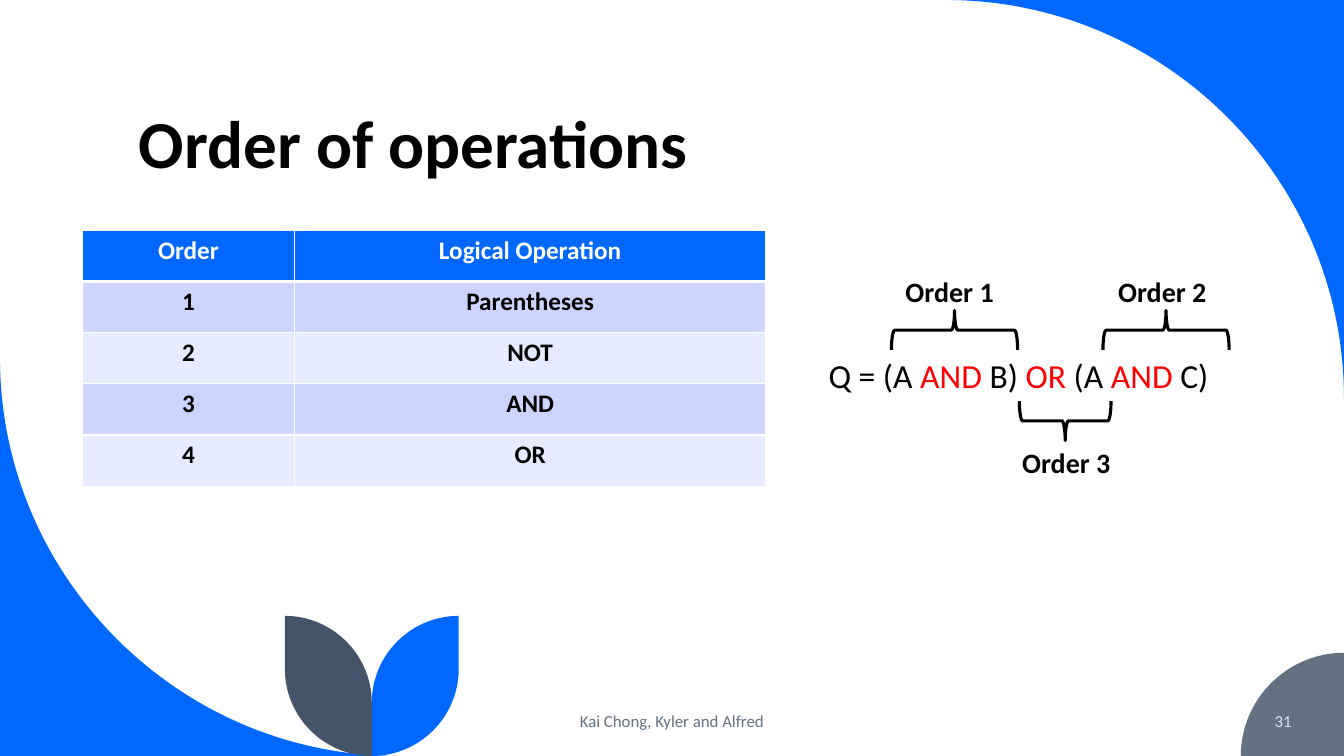
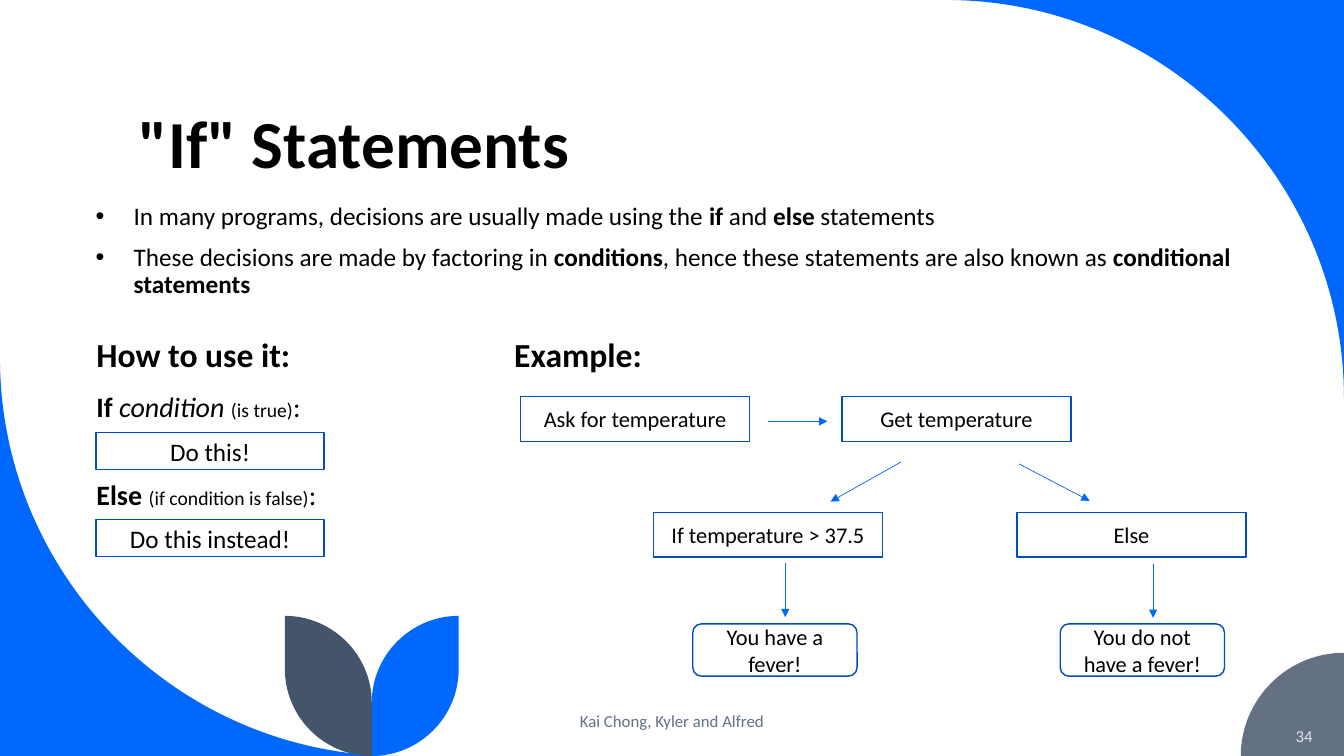
from dataclasses import dataclass

from lxml import etree
from pptx import Presentation
from pptx.dml.color import RGBColor
from pptx.enum.shapes import MSO_CONNECTOR, MSO_SHAPE
from pptx.enum.text import MSO_ANCHOR, PP_ALIGN
from pptx.oxml.ns import qn
from pptx.util import Cm, Pt

LEFT, MID, RIGHT = PP_ALIGN.LEFT, PP_ALIGN.CENTER, PP_ALIGN.RIGHT
TOP, CENTRE, BASE = MSO_ANCHOR.TOP, MSO_ANCHOR.MIDDLE, MSO_ANCHOR.BOTTOM
BRACE, RECT = MSO_SHAPE.LEFT_BRACE, MSO_SHAPE.RECTANGLE
ROUND, LINE = MSO_SHAPE.ROUNDED_RECTANGLE, MSO_CONNECTOR.STRAIGHT


@dataclass(frozen=True)
class Theme:
    font: str = "Calibri"
    blue: str = "0068FF"
    edge: str = "004DBD"
    slate: str = "44546A"
    grey: str = "637183"
    pale: str = "DAE5EF"
    band: str = "CCD4FF"
    tint: str = "E7EBFF"
    red: str = "FF0000"
    black: str = "000000"
    white: str = "FFFFFF"
    title: int = 48
    head: int = 24
    label: int = 20
    body: int = 18
    node: int = 16
    note: int = 14
    foot: int = 12


T = Theme()
rgb = RGBColor.from_string
WIDE, HIGH = 33.87, 19.05


def write(frame, rows, size, align=LEFT, anchor=TOP, color=T.black, bold=False,
          space=1.0, gap=0, bullet=False, wrap=True):
    """Fill a text frame; each row is a string or a list of (text, changes)."""
    frame.word_wrap = wrap
    frame.vertical_anchor = anchor
    for i, row in enumerate(rows):
        para = frame.paragraphs[0] if i == 0 else frame.add_paragraph()
        para.alignment = align
        para.line_spacing = space
        if i:
            para.space_before = Pt(gap)
        if bullet:
            props = para._p.get_or_add_pPr()
            props.set("marL", str(Cm(0.96)))
            props.set("indent", str(-Cm(0.96)))
            etree.SubElement(props, qn("a:buFont"), typeface="Arial")
            etree.SubElement(props, qn("a:buChar"), char="•")
        for text, more in [(row, {})] if isinstance(row, str) else row:
            run = para.add_run()
            run.text = text
            font = run.font
            font.name = T.font
            font.size = Pt(more.get("size", size))
            font.bold = more.get("bold", bold)
            font.italic = more.get("italic", False)
            font.color.rgb = rgb(more.get("color", color))


def outline(shapes, steps, color):
    """Draw a filled outline; a step (x, y, cx, cy) bends towards (cx, cy)."""
    dots = [tuple(map(Cm, step)) for step in steps]
    pen = shapes.build_freeform(*dots[0])
    pen.add_line_segments([dot[:2] for dot in dots[1:]])
    form = pen.convert_to_shape()
    form.shadow.inherit = False
    form.fill.solid()
    form.fill.fore_color.rgb = rgb(color)
    form.line.fill.background()
    parts = list(form._element.iter(qn("a:lnTo")))
    for part, start, stop in zip(parts, dots, dots[1:]):
        if len(stop) == 4:
            part.tag = qn("a:cubicBezTo")
            for i, (x, y) in enumerate((start[:2], stop[:2])):
                bend = etree.Element(qn("a:pt"))
                bend.set("x", str(round(x + 0.55 * (stop[2] - x)) - form.left))
                bend.set("y", str(round(y + 0.55 * (stop[3] - y)) - form.top))
                part.insert(i, bend)


deck = Presentation()
deck.slide_width, deck.slide_height = Cm(WIDE), Cm(HIGH)

# Shared corners and leaves
SWEEP, DISC, LEAF, STEM, PEAK = 10.03, 2.6, 2.19, 9.37, 15.52
SIDE = STEM + LEAF
leaf = [(SIDE, PEAK), (SIDE, HIGH - LEAF), (STEM, HIGH, SIDE, HIGH),
        (STEM, PEAK + LEAF), (SIDE, PEAK, STEM, PEAK)]
twin = [(2 * STEM - x, y, *(2 * STEM - a if i == 0 else a for i, a in enumerate(bend)))
        for x, y, *bend in leaf]
decor = [
    ([(WIDE, 0), (WIDE, SWEEP), (WIDE - SWEEP, 0, WIDE, 0)], T.blue),
    ([(0, HIGH), (0, HIGH - SWEEP), (SWEEP, HIGH, 0, HIGH)], T.blue),
    ([(WIDE, HIGH), (WIDE, HIGH - DISC),
      (WIDE - DISC, HIGH, WIDE - DISC, HIGH - DISC)], T.grey),
    (leaf, T.blue),
    (twin, T.slate),
]

# Frame of each slide: decoration, title, footer, number
pages = []
for title, num, x, y in [("Order of operations", "31", 28.2, 17.65),
                         ('"If" Statements', "34", 28.73, 18.03)]:
    shapes = deck.slides.add_slide(deck.slide_layouts[6]).shapes
    pages.append(shapes)
    for steps, color in decor:
        outline(shapes, steps, color)
    box = shapes.add_textbox(Cm(3.25), Cm(1.07), Cm(27.15), Cm(3.68))
    write(box.text_frame, [title], T.title, anchor=BASE, bold=True, space=0.9)
    box = shapes.add_textbox(Cm(11.22), Cm(17.65), Cm(11.43), Cm(1.02))
    write(box.text_frame, ["Kai Chong, Kyler and Alfred"], T.foot, MID, CENTRE, T.grey)
    box = shapes.add_textbox(Cm(x), Cm(y), Cm(4.6), Cm(1.02))
    write(box.text_frame, [num], T.foot, RIGHT, CENTRE, T.pale)
logic, choice = pages

# Table of operations
data = [("Order", "Logical Operation"), ("1", "Parentheses"), ("2", "NOT"),
        ("3", "AND"), ("4", "OR")]
ROW, COLS = 1.29, (5.34, 11.88)
grid = logic.add_table(len(data), len(COLS), Cm(2.08), Cm(5.8),
                       Cm(sum(COLS)), Cm(ROW * len(data))).table
for col, width in zip(grid.columns, COLS):
    col.width = Cm(width)
for i, row in enumerate(data):
    grid.rows[i].height = Cm(ROW)
    for j, text in enumerate(row):
        cell = grid.cell(i, j)
        props = cell._tc.get_or_add_tcPr()
        for side in ("lnL", "lnR", "lnT", "lnB"):
            thick = (side, i) in (("lnB", 0), ("lnT", 1))
            rule = etree.SubElement(props, qn("a:" + side), w=str(Pt(3 if thick else 1)))
            paint = etree.SubElement(rule, qn("a:solidFill"))
            etree.SubElement(paint, qn("a:srgbClr"), val=T.white)
        cell.fill.solid()
        cell.fill.fore_color.rgb = rgb(T.blue if i == 0 else T.band if i % 2 else T.tint)
        write(cell.text_frame, [text], T.body, MID,
              color=T.black if i else T.white, bold=True)

# Formula with its braces
red = {"color": T.red}
box = logic.add_textbox(Cm(20.63), Cm(8.81), Cm(10.9), Cm(1.27))
write(box.text_frame, [[("Q = (A ", {}), ("AND", red), (" B) ", {}), ("OR", red),
                        (" (A ", {}), ("AND", red), (" C)", {})]], T.head)
for text, x, y, span, turn, left, top in [
        ("Order 1", 23.56, 6.73, 3.18, 90, 22.57, 6.78),
        ("Order 2", 28.89, 6.73, 3.18, 90, 27.93, 6.78),
        ("Order 3", 26.35, 9.45, 2.31, 270, 25.51, 11.1)]:
    brace = logic.add_shape(BRACE, Cm(x), Cm(y), Cm(0.99), Cm(span))
    brace.rotation = turn
    brace.shadow.inherit = False
    brace.fill.background()
    brace.line.color.rgb = rgb(T.black)
    brace.line.width = Pt(2.25)
    box = logic.add_textbox(Cm(left), Cm(top), Cm(2.79), Cm(1.12))
    write(box.text_frame, [text], T.label, bold=True, wrap=False)

# Bullets on conditions
bold = {"bold": True}
box = choice.add_textbox(Cm(2.16), Cm(5), Cm(30.12), Cm(3.02))
write(box.text_frame, [
    [("In many programs, decisions are usually made using the ", {}), ("if ", bold),
     ("and ", {}), ("else ", bold), ("statements", {})],
    [("These decisions are made by factoring in ", {}), ("conditions", bold),
     (", hence these statements are also known as ", {}),
     ("conditional statements", bold)],
], T.body, space=0.9, gap=10, bullet=True)

# Headings and usage
for text, x, width in [("How to use it:", 2.18, 7.67), ("Example:", 12.71, 10.29)]:
    box = choice.add_textbox(Cm(x), Cm(8.41), Cm(width), Cm(1.45))
    write(box.text_frame, [text], T.head, bold=True, space=0.9)
small = {"size": T.note}
box = choice.add_textbox(Cm(2.18), Cm(9.78), Cm(8.94), Cm(7.85))
write(box.text_frame, [
    [("If ", bold), ("condition ", {"italic": True}), ("(is true)", small), (":", {})],
    [("Else ", bold), ("(if condition is false)", small), (":", {})],
], T.label, space=0.9, gap=41.5)

# Boxes of the usage and the flow chart
STEP = (RECT, 5.75, 0.94, T.body)
NODE = (RECT, 5.77, 1.13, T.node)
END = (ROUND, 4.14, 1.32, T.node)
for text, x, y, (kind, width, height, size) in [
        ("Do this!", 2.42, 10.9, STEP),
        ("Do this instead!", 2.42, 13.09, STEP),
        ("Ask for temperature", 13.12, 9.99, NODE),
        ("Get temperature", 21.22, 9.99, NODE),
        ("If temperature > 37.5", 16.47, 12.91, NODE),
        ("Else", 25.63, 12.91, NODE),
        ("You have a fever!", 17.46, 15.72, END),
        ("You do not have a fever!", 26.72, 15.72, END)]:
    box = choice.add_shape(kind, Cm(x), Cm(y), Cm(width), Cm(height))
    box.shadow.inherit = False
    box.fill.solid()
    box.fill.fore_color.rgb = rgb(T.white)
    box.line.color.rgb = rgb(T.edge)
    box.line.width = Pt(1)
    write(box.text_frame, [text], size, MID, CENTRE)

# Arrows of the flow chart
for ends in [(19.35, 10.62, 20.85, 10.62), (22.71, 11.64, 20.93, 12.64),
             (25.68, 11.69, 27.46, 12.62), (19.79, 14.18, 19.79, 15.55),
             (29.06, 14.2, 29.06, 15.57)]:
    arrow = choice.add_connector(LINE, *map(Cm, ends))
    arrow.line.color.rgb = rgb(T.blue)
    arrow.line.width = Pt(0.5)
    etree.SubElement(arrow.line._get_or_add_ln(), qn("a:tailEnd"), type="triangle")
    etree.SubElement(arrow._element.spPr, qn("a:effectLst"))

deck.save("out.pptx")
